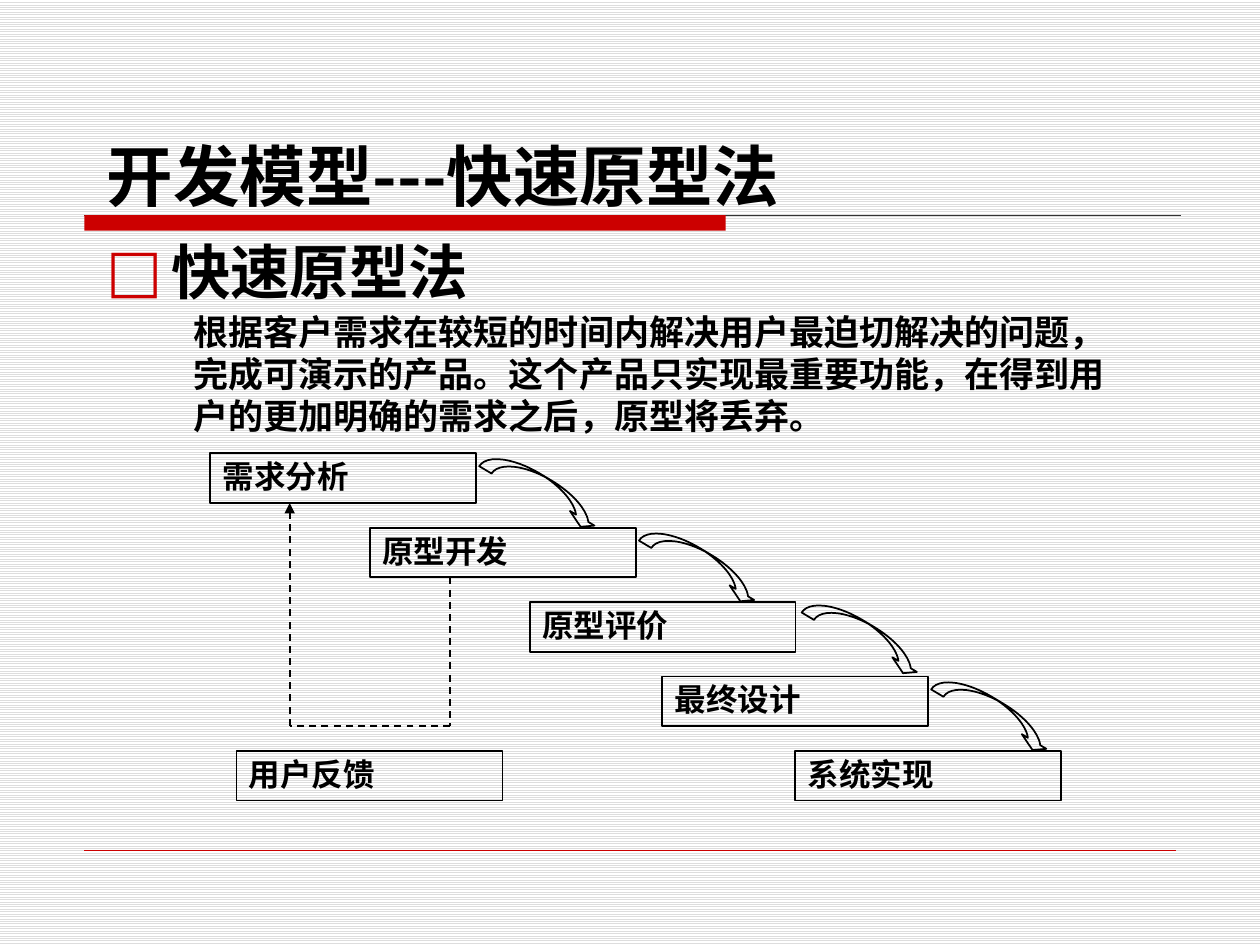
from pptx import Presentation
from pptx.util import Cm, Pt
from pptx.dml.color import RGBColor as RGB
from pptx.enum.dml import MSO_LINE as Dash, MSO_PATTERN as Pat
from pptx.enum.shapes import MSO_SHAPE as Shape, MSO_CONNECTOR as Conn
from pptx.enum.text import PP_ALIGN as Align, MSO_ANCHOR as Anchor
from pptx.oxml.xmlchemy import OxmlElement as Node

# Content
TITLE = "开发模型---快速原型法"
HEAD = "快速原型法"
BODY = ("根据客户需求在较短的时间内解决用户最迫切解决的问题，"
        "完成可演示的产品。这个产品只实现最重要功能，"
        "在得到用户的更加明确的需求之后，原型将丢弃。")
STEPS = [("需求分析", 4.24), ("原型开发", 7.46), ("原型评价", 10.68),
         ("最终设计", 13.35), ("系统实现", 16.03)]
BACK = ("用户反馈", 4.77)
TOP, RISE = 9.14, 1.5          # first step, drop per step
WIDE, HIGH = 5.36, 1.0         # step box
SANS, CJK = "DejaVu Sans", "Noto Sans CJK SC"
RED, INK = "CC0000", "000000"

deck = Presentation()
deck.slide_width, deck.slide_height = Cm(25.4), Cm(19.05)
slide = deck.slides.add_slide(deck.slide_layouts[6])
parts = slide.shapes


def color(code):
    return RGB.from_string(code)


def add(tag, host, **attrs):
    node = Node(tag)
    for key, val in attrs.items():
        node.set(key, val)
    host.append(node)
    return node


def write(para, text, size, lead, font=SANS, align=Align.LEFT, before=0,
          left=0, first=0, level=0, bullet=None):
    para.alignment, para.level = align, level
    para.line_spacing, para.space_before = Pt(lead), Pt(before)
    props = para._p.get_or_add_pPr()
    props.set("marL", str(Cm(left)))
    props.set("indent", str(Cm(first)))
    if bullet:
        add("a:srgbClr", add("a:buClr", props), val=RED)
        add("a:buFont", props, typeface=SANS)
        add("a:buChar", props, char=bullet)
    run = para.add_run()
    run.text = text
    run.font.size, run.font.bold, run.font.name = Pt(size), True, font
    run.font.color.rgb = color(INK)
    add("a:ea", run._r.get_or_add_rPr(), typeface=CJK)


def frame(x, y, w, h, wrap=True):
    text = parts.add_textbox(Cm(x), Cm(y), Cm(w), Cm(h)).text_frame
    text.word_wrap = wrap
    return text


def draw(kind, x, y, w, h, fill=None, line=INK):
    item = parts.add_shape(kind, Cm(x), Cm(y), Cm(w), Cm(h))
    item.shadow.inherit = False
    if fill:
        item.fill.solid()
        item.fill.fore_color.rgb = color(fill)
    else:
        item.fill.background()
    item.line.color.rgb = color(line)
    item.line.width = Pt(1)
    return item


def rule(x1, y1, x2, y2, code=INK, width=1, dash=False, head=False):
    item = parts.add_connector(Conn.STRAIGHT, Cm(x1), Cm(y1), Cm(x2), Cm(y2))
    item.line.color.rgb = color(code)
    item.line.width = Pt(width)
    if dash:
        item.line.dash_style = Dash.DASH
    if head:
        add("a:tailEnd", item.line._get_or_add_ln(), type="triangle")
    add("a:effectLst", item._element.spPr)


def box(text, x, y, align=Align.LEFT):
    words = draw(Shape.RECTANGLE, x, y, WIDE, HIGH).text_frame
    words.vertical_anchor = Anchor.TOP
    words.margin_top = words.margin_bottom = Cm(0.03)
    write(words.paragraphs[0], text, 18, 23, align=align)


# Background and rules
back = slide.background.fill
back.patterned()
back.pattern = Pat.LIGHT_HORIZONTAL
back.fore_color.rgb, back.back_color.rgb = color("DDDDDD"), color("FFFFFF")
rule(1.7, 4.34, 23.8, 4.34, "333333", 0.75)
draw(Shape.RECTANGLE, 1.7, 4.34, 12.93, 0.31, RED, RED).line.fill.background()
rule(1.7, 17.15, 23.7, 17.15, RED, 0.25)

# Heading and body
body = frame(1.9, 4.47, 21.29, 14.45)
write(body.paragraphs[0], HEAD, 34, 45, left=1.3, first=-1.3, bullet="□")
write(body.add_paragraph(), BODY, 20, 24, before=2, left=1.75, level=1)

# Steps, each with an arrow to the next
for i, (name, x) in enumerate(STEPS):
    box(name, x, TOP + i * RISE)
for i, (name, x) in enumerate(STEPS[:-1]):
    arrow = draw(Shape.CURVED_DOWN_ARROW, x + WIDE, TOP + i * RISE + 0.48,
                 2.67, 0.5)
    if i == 2:
        arrow.left, arrow.top = Cm(16.1), Cm(12.57)
    arrow.rotation = 30.9
    for k, val in enumerate((0.58, 1.15, 0.33)):
        arrow.adjustments[k] = val

# Feedback loop
low, near, far = 14.63, 9.07, 5.84
rule(near, TOP + RISE + HIGH, near, low, dash=True)
rule(near, low, far, low, dash=True)
rule(far, low, far, TOP + HIGH, dash=True, head=True)
box(*BACK, TOP + 4 * RISE, Align.JUSTIFY)

# Title
title = frame(1.9, 2.44, 14.78, 1.88, wrap=False)
write(title.paragraphs[0], TITLE, 38, 50, font=CJK, left=0.46, first=-0.46)

deck.save("out.pptx")
